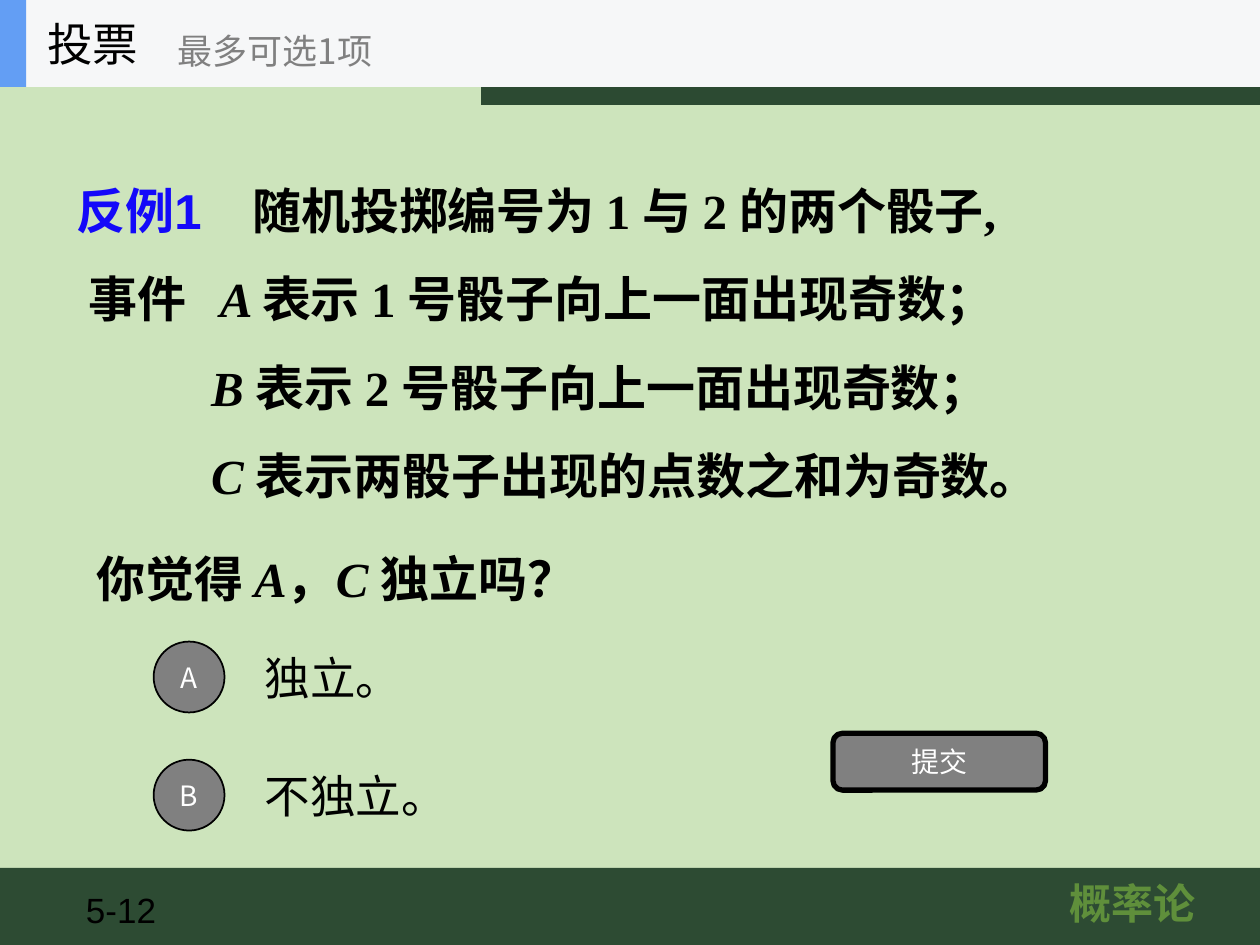
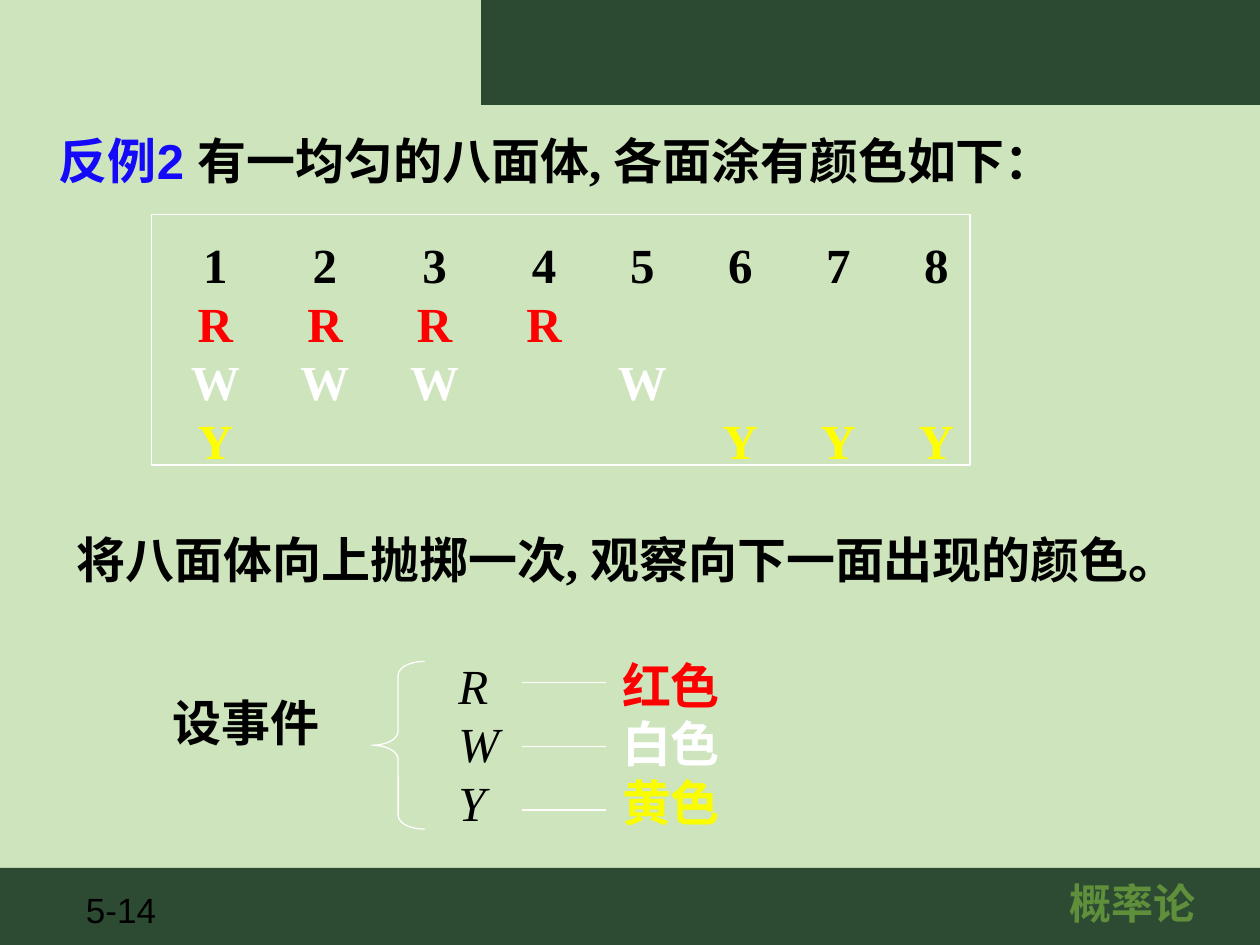
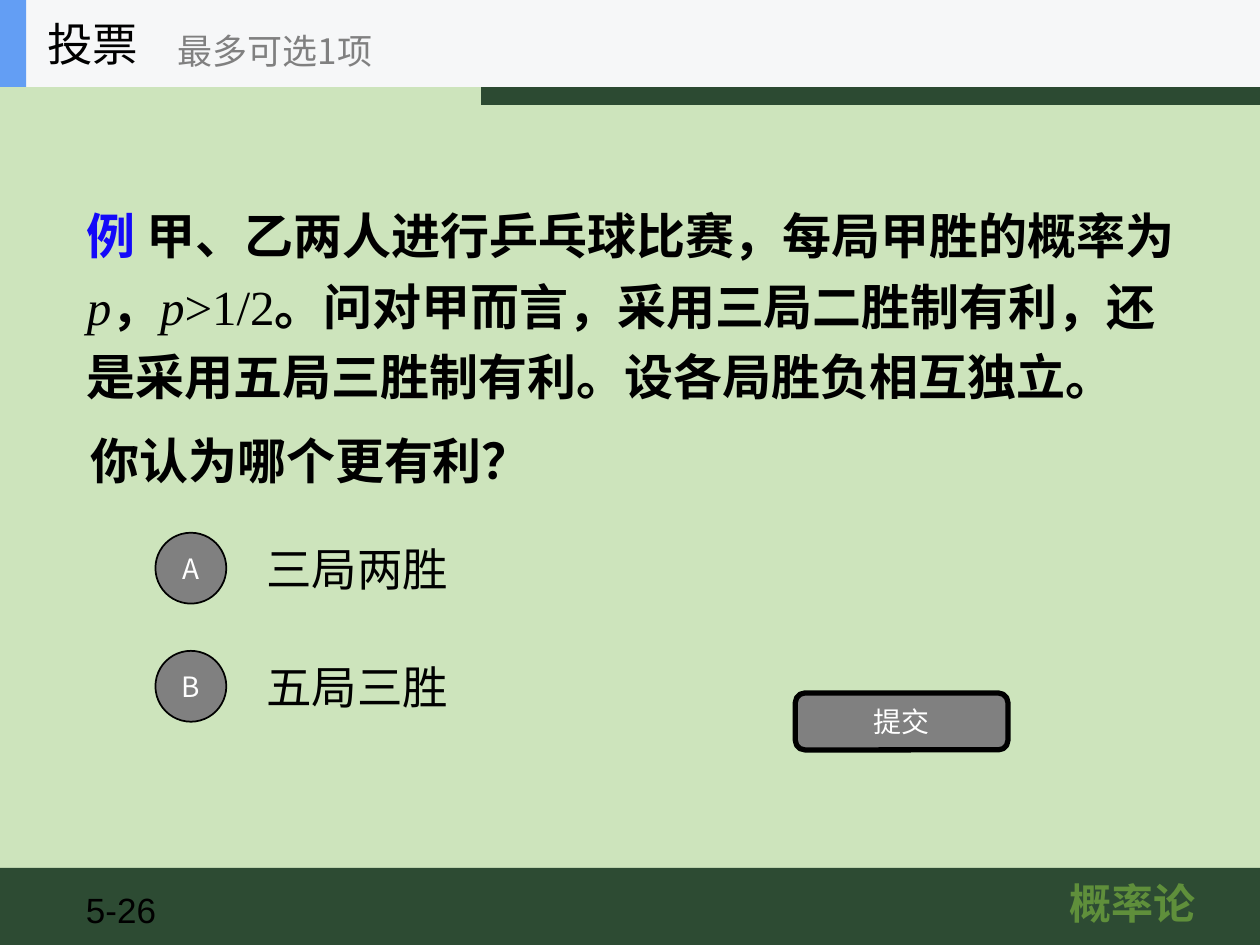
from dataclasses import dataclass, replace

from lxml import etree
from pptx import Presentation
from pptx.dml.color import RGBColor
from pptx.enum import shapes, text
from pptx.oxml import ns
from pptx.util import Pt


@dataclass(frozen=True)
class Style:
    size: float
    font: str
    color: str
    bold: bool = False
    italic: bool = False


@dataclass(frozen=True)
class Box:
    left: float
    top: float
    width: float
    height: float

    def inner(self, left, top, width, height):
        return Box(self.left + left, self.top + top, width, height)

    def lengths(self):
        return [Pt(v) for v in (self.left, self.top, self.width, self.height)]


class Theme:
    page = Box(0, 0, 720, 540)
    background = "CDE4BC"
    footer_band = "2D4B33"
    corner_band = "2C4A32"
    header_band = "F6F7F8"
    accent = "639EF4"
    black = "000000"
    white = "FFFFFF"
    red = "FF0000"
    gray = "808080"
    cjk = "Noto Sans CJK SC"
    body = Style(28, "Times New Roman", black, bold=True)
    symbol = replace(body, italic=True)
    variable = replace(symbol, bold=False)
    formula = replace(body, bold=False)
    label = Style(28, "Arial", "1409F9", bold=True)
    number = Style(20, "Arial", black)
    course = Style(24, "Arial", "5F8F3B", bold=True)
    option = Style(26, cjk, black)
    hint = Style(20, cjk, gray)
    button = Style(16, cjk, white)


LEFT, CENTER = text.PP_ALIGN.LEFT, text.PP_ALIGN.CENTER
TOP, MIDDLE = text.MSO_ANCHOR.TOP, text.MSO_ANCHOR.MIDDLE


def rgb(color):
    return RGBColor.from_string(color)


def set_tabs(paragraph, stops, kind):
    tab_list = etree.SubElement(paragraph._p.get_or_add_pPr(), ns.qn("a:tabLst"))
    for stop in stops:
        etree.SubElement(tab_list, ns.qn("a:tab"), pos=str(Pt(stop)), algn=kind)


def style_run(run, style):
    font = run.font
    font.size = Pt(style.size)
    font.name = style.font
    font.bold = style.bold
    font.italic = style.italic
    font.color.rgb = rgb(style.color)
    etree.SubElement(run._r.get_or_add_rPr(), ns.qn("a:ea"), typeface=Theme.cjk)


def write(frame, lines, align=LEFT, anchor=TOP, spacing=None, tabs=(), tab_kind="l"):
    frame.word_wrap = True
    frame.vertical_anchor = anchor
    for index, line in enumerate(lines):
        paragraph = frame.add_paragraph() if index else frame.paragraphs[0]
        paragraph.alignment = align
        if spacing:
            paragraph.line_spacing = spacing
        if tabs:
            set_tabs(paragraph, tabs[index], tab_kind)
        for words, style in line:
            run = paragraph.add_run()
            run.text = words
            style_run(run, style)


def add_words(slide, box, lines, **layout):
    write(slide.shapes.add_textbox(*box.lengths()).text_frame, lines, **layout)


def add_block(slide, kind, box, fill=None, line=None, weight=1):
    block = slide.shapes.add_shape(kind, *box.lengths())
    block.shadow.inherit = False
    if fill:
        block.fill.solid()
        block.fill.fore_color.rgb = rgb(fill)
    else:
        block.fill.background()
    if line:
        block.line.color.rgb = rgb(line)
        block.line.width = Pt(weight)
    else:
        block.line.fill.background()
    return block


def add_band(slide, box, fill):
    add_block(slide, shapes.MSO_SHAPE.RECTANGLE, box, fill)


def add_rule(slide, left, right, y):
    rule = slide.shapes.add_connector(
        shapes.MSO_CONNECTOR.STRAIGHT, Pt(left), Pt(y), Pt(right), Pt(y))
    rule.line.color.rgb = rgb(Theme.white)
    rule.line.width = Pt(0.75)
    etree.SubElement(rule._element.spPr, ns.qn("a:effectLst"))


def add_footer(slide, box, number):
    add_band(slide, box, Theme.footer_band)
    add_words(slide, box.inner(42, 8, 70, 31), [[(number, Theme.number)]])
    add_words(slide, box.inner(574, 2, 146, 36), [[("概率论", Theme.course)]], align=CENTER)


def new_slide(deck, number):
    slide = deck.slides.add_slide(deck.slide_layouts[6])
    slide.background.fill.solid()
    slide.background.fill.fore_color.rgb = rgb(Theme.background)
    add_footer(slide, Theme.page.inner(0, 496, 720, 44), number)
    add_band(slide, Theme.page.inner(275, 0, 445, 60), Theme.corner_band)
    return slide


def add_poll_header(slide, box):
    add_band(slide, box, Theme.header_band)
    add_band(slide, box.inner(0, 0, 15, box.height), Theme.accent)
    add_words(slide, box.inner(20, 0, 74, box.height), [[("投票", Theme.option)]], anchor=MIDDLE)
    add_words(slide, box.inner(94.3, 8.7, 180, 40), [[("最多可选1项", Theme.hint)]], anchor=MIDDLE)


def add_options(slide, box, answers):
    pitch, disc = 67.5, 40.5
    for index, answer in enumerate(answers):
        row = box.inner(0, index * pitch, box.width, disc)
        bullet = add_block(slide, shapes.MSO_SHAPE.OVAL, row.inner(0, 0, disc, disc),
                           Theme.gray, Theme.black)
        write(bullet.text_frame, [[("AB"[index], Theme.button)]], align=CENTER, anchor=MIDDLE)
        add_words(slide, row.inner(56.4, -5, 504, 50.4), [[(answer, Theme.option)]], anchor=MIDDLE)


def add_submit(slide, left, top):
    button = add_block(slide, shapes.MSO_SHAPE.ROUNDED_RECTANGLE,
                       Box(left, top, 121.5, 32.5), Theme.gray, Theme.black, 3)
    write(button.text_frame, [[("提交", Theme.button)]], align=CENTER, anchor=MIDDLE)


def build_dice_poll(deck):
    slide = new_slide(deck, "5-12")
    body, symbol = Theme.body, Theme.symbol
    add_words(slide, Box(36.6, 82.8, 590, 259), [
        [("反例1\t", Theme.label), ("随机投掷编号为 1 与 2 的两个骰子,", body)],
        [("\t事件\t", body), ("A ", symbol), ("表示 1 号骰子向上一面出现奇数；", body)],
        [("\t", body), ("B ", symbol), ("表示 2 号骰子向上一面出现奇数；", body)],
        [("\t", body), ("C ", symbol), ("表示两骰子出现的点数之和为奇数。", body)],
    ], spacing=1.5, tabs=[[100.5], [7, 82], [77], [77]])
    add_words(slide, Box(48, 293, 590, 57.6), [[
        ("你觉得 ", body), ("A", symbol), ("，", body), ("C ", symbol), ("独立吗？", body),
    ]], spacing=1.5)
    add_options(slide, Box(87.8, 366.6, 560, 108), ["独立。", "不独立。"])
    add_submit(slide, 476, 419)
    add_poll_header(slide, Theme.page.inner(0, 0, 720, 49.7))


def face_row(letter, faces):
    return "".join("\t" + (letter if face in faces else "") for face in range(1, max(faces) + 1))


def add_face_colours(slide, box):
    body = Theme.body
    columns = [21 + 62.6 * i for i in range(4)] + [265 + 56 * i for i in range(4)]
    rows = [("R", Theme.red, (1, 2, 3, 4)), ("W", Theme.white, (1, 2, 3, 5)),
            ("Y", "FFFF00", (1, 6, 7, 8))]
    lines = [[("".join(f"\t{face}" for face in range(1, 9)), body)]]
    lines += [[(face_row(letter, faces), replace(body, color=color))]
              for letter, color, faces in rows]
    add_words(slide, box.inner(8.6, 7.9, 481, 142), lines,
              tabs=[columns] * len(lines), tab_kind="ctr")
    add_block(slide, shapes.MSO_SHAPE.RECTANGLE, box, line=Theme.white, weight=0.75)


def add_events(slide, box):
    events = [("R", "红色", Theme.red), ("W", "白色", Theme.white), ("Y", "黄色", "FAFD00")]
    add_words(slide, box.inner(0, 21.6, 110, 41), [[("设事件", Theme.body)]])
    add_words(slide, box.inner(163.5, 0, 205, 108), [
        [(f"{event}\t", Theme.variable), (name, replace(Theme.body, color=color))]
        for event, name, color in events
    ], tabs=[[93.5]] * len(events))
    for index in range(len(events)):
        add_rule(slide, box.left + 206.8, box.left + 255, box.top + 19.2 + 36.4 * index)
    brace = add_block(slide, shapes.MSO_SHAPE.LEFT_BRACE, box.inner(121, 7.2, 30.2, 95.8),
                      line=Theme.white, weight=0.75)
    brace.adjustments[0] = 0.26


def build_octahedron(deck):
    slide = new_slide(deck, "5-14")
    add_words(slide, Box(26.6, 71.3, 640, 41), [[
        ("反例2 ", Theme.label), ("有一均匀的八面体, 各面涂有颜色如下：", Theme.body),
    ]])
    add_words(slide, Box(36.7, 298.8, 672, 41),
              [[("将八面体向上抛掷一次, 观察向下一面出现的颜色。", Theme.body)]])
    add_events(slide, Box(91.4, 370.8, 370, 108))
    add_face_colours(slide, Box(86.4, 122.4, 468, 143.3))


def build_match_poll(deck):
    slide = new_slide(deck, "5-26")
    body, variable = Theme.body, Theme.variable
    add_words(slide, Box(42.5, 107.3, 646.6, 128), [[
        ("例 ", replace(body, color=Theme.label.color)),
        ("甲、乙两人进行乒乓球比赛，每局甲胜的概率为 ", body),
        ("p", variable), ("，", body), ("p", variable), (">1/2", Theme.formula),
        ("。问对甲而言，采用三局二胜制有利，还是采用五局三胜制有利。设各局胜负相互独立。", body),
    ]], spacing=1.2)
    add_words(slide, Box(44.6, 242.6, 300, 41), [[("你认为哪个更有利？", body)]])
    add_options(slide, Box(88.8, 304.4, 560, 108), ["三局两胜", "五局三胜"])
    add_submit(slide, 454.5, 396)
    add_poll_header(slide, Theme.page.inner(0, 0, 720, 49.7))


def main():
    deck = Presentation()
    deck.slide_width, deck.slide_height = Pt(Theme.page.width), Pt(Theme.page.height)
    build_dice_poll(deck)
    build_octahedron(deck)
    build_match_poll(deck)
    deck.save("out.pptx")


if __name__ == "__main__":
    main()
